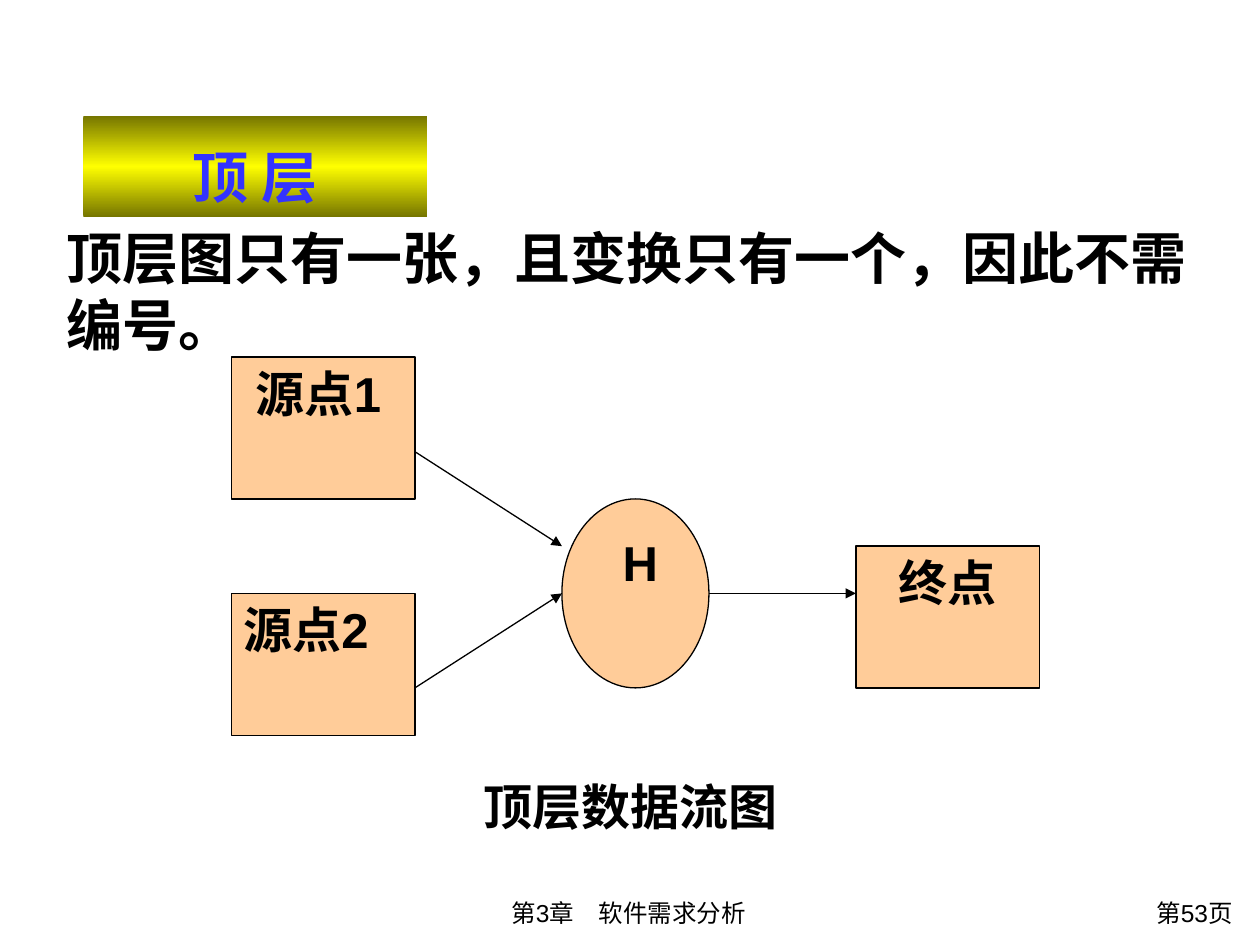
import copy

import pptx
import pptx.dml.color
import pptx.enum.shapes
import pptx.enum.text
import pptx.oxml
import pptx.oxml.ns
import pptx.util

Cm = pptx.util.Cm
Pt = pptx.util.Pt
Kind = pptx.enum.shapes.MSO_SHAPE
Align = pptx.enum.text.PP_ALIGN
CJK = "Noto Sans CJK SC"
HUES = {"ink": "000000", "peach": "FFCC99", "blue": "3333FF",
        "gold": "FFFF00", "olive": "767600"}


def hue(name):
    """Return the colour with this name."""
    return pptx.dml.color.RGBColor.from_string(HUES[name])


def add(parent, tag, **attrs):
    """Append a drawing element to a parent."""
    node = pptx.oxml.parse_xml(f"<a:{tag} {pptx.oxml.ns.nsdecls('a')}/>")
    for key, value in attrs.items():
        node.set(key, value)
    parent.append(node)


def write(shape, text, size=28, color="ink", bold=True, font="Arial",
          align=Align.LEFT, indent=0, space=1.0):
    """Write formatted text into a shape."""
    frame = shape.text_frame
    frame.word_wrap = True
    frame.auto_size = pptx.enum.text.MSO_AUTO_SIZE.NONE
    frame.vertical_anchor = pptx.enum.text.MSO_ANCHOR.TOP
    frame.margin_left = frame.margin_right = Cm(0.25)
    frame.margin_top = frame.margin_bottom = Cm(0.13)
    para = frame.paragraphs[0]
    para.alignment = align
    para.line_spacing = space
    para.space_before = Pt(0)
    if indent:
        para._p.get_or_add_pPr().set("marL", str(Cm(indent)))
    run = para.add_run()
    run.text = text
    run.font.size = Pt(size)
    run.font.bold = bold
    run.font.name = font
    run.font.color.rgb = hue(color)
    add(run._r.get_or_add_rPr(), "ea", typeface=CJK)


def label(slide, box, text, **style):
    """Add a text box."""
    write(slide.shapes.add_textbox(*map(Cm, box)), text, **style)


def banner(slide, box, text):
    """Place the title on a gold gradient band."""
    title = slide.shapes.title
    title.left, title.top, title.width, title.height = map(Cm, box)
    fill = title.fill
    fill.gradient()
    fill.gradient_angle = 90
    first = fill.gradient_stops[0]._gs
    first.addnext(copy.deepcopy(first))
    for stop, spot, name in zip(fill.gradient_stops, (0, 0.5, 1),
                                ("olive", "gold", "olive")):
        stop.position = spot
        stop.color.rgb = hue(name)
    write(title, text, size=32, color="blue", align=Align.CENTER, space=1.3)


def flow(slide, box):
    """Draw the data flow on a grid of 22 by 8 cells."""
    left, top, width, height = box
    across, down = width / 22, height / 8

    def spot(col, row):
        return Cm(left + col * across), Cm(top + row * down)

    nodes = [
        (Kind.OVAL, 9, 3, 4, 4, "H", {"indent": 0.54}),
        (Kind.FLOWCHART_PROCESS, 0, 0, 5, 3, "源点1", {"indent": 0.25}),
        (Kind.FLOWCHART_PROCESS, 0, 5, 5, 3, "源点2", {}),
        (Kind.FLOWCHART_PROCESS, 17, 4, 5, 3, "终点", {"align": Align.CENTER}),
    ]
    for kind, col, row, wide, high, text, style in nodes:
        node = slide.shapes.add_shape(kind, *spot(col, row),
                                      Cm(wide * across), Cm(high * down))
        node.shadow.inherit = False
        node.fill.solid()
        node.fill.fore_color.rgb = hue("peach")
        node.line.color.rgb = hue("ink")
        node.line.width = Pt(0.75)
        write(node, text, **style)

    for start, end in (((5, 2), (9, 4)), ((5, 7), (9, 5)), ((13, 5), (17, 5))):
        arrow = slide.shapes.add_connector(
            pptx.enum.shapes.MSO_CONNECTOR.STRAIGHT, *spot(*start), *spot(*end))
        arrow.line.color.rgb = hue("ink")
        arrow.line.width = Pt(0.75)
        add(arrow.line._get_or_add_ln(), "tailEnd", type="triangle")
        add(arrow._element.spPr, "effectLst")


def footer(slide, box):
    """Add the chapter name and the page number."""
    left, top, width, height = box
    label(slide, (left, top, 13.41, height), "第3章　软件需求分析",
          size=14, bold=False, align=Align.CENTER)
    label(slide, (left + width - 3.4, top, 3.4, height), "第53页",
          size=14, bold=False, align=Align.RIGHT)


def main():
    """Build and save the slide."""
    deck = pptx.Presentation()
    deck.slide_width, deck.slide_height = Cm(25.4), Cm(19.05)
    slide = deck.slides.add_slide(deck.slide_layouts[5])
    banner(slide, (1.68, 2.34, 6.93, 2.03), "顶 层")
    label(slide, (1.09, 4.37, 24.13, 2.97),
          "顶层图只有一张，且变换只有一个，因此不需编号。", size=32, font=CJK)
    flow(slide, (4.66, 7.2, 16.3, 7.62))
    label(slide, (9.5, 15.52, 8.69, 1.45), "顶层数据流图")
    footer(slide, (5.97, 17.97, 19.13, 0.9))
    deck.save("out.pptx")


if __name__ == "__main__":
    main()
